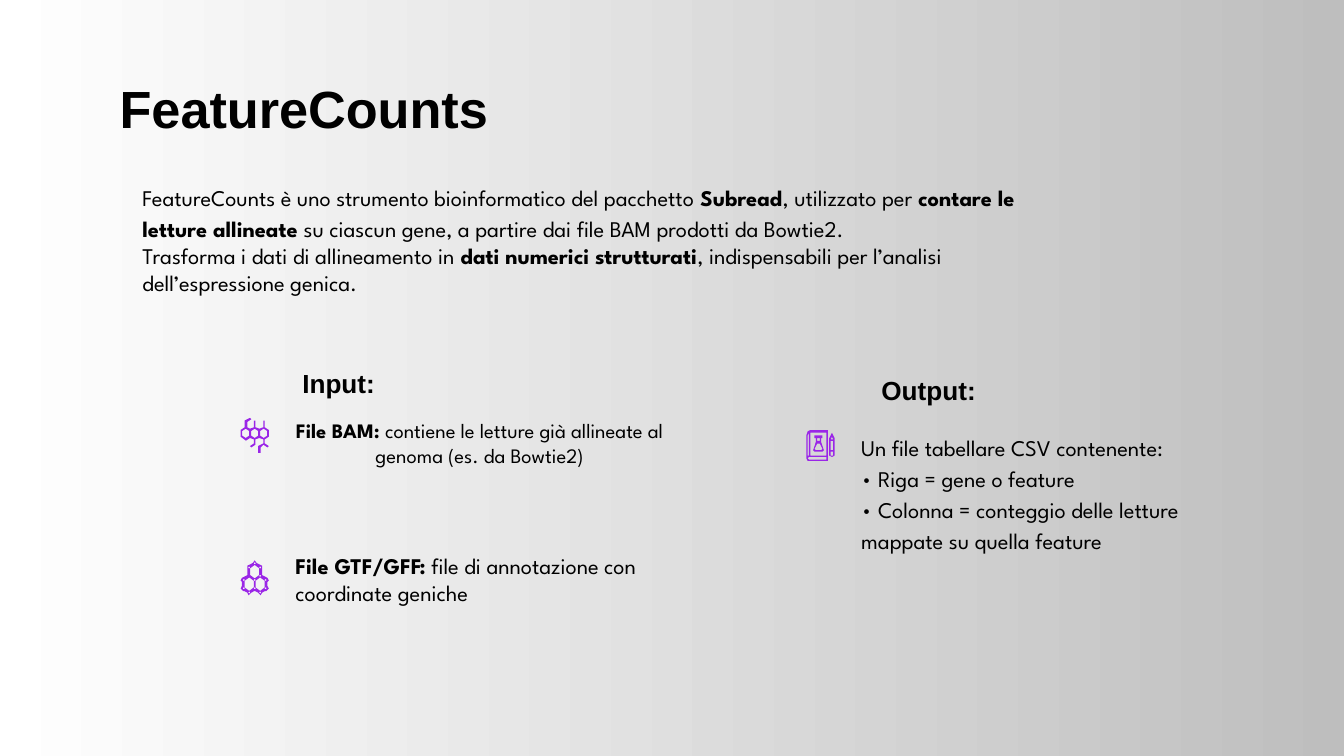
import math

from pptx import Presentation
from pptx.dml.color import RGBColor
from pptx.enum import text as t
from pptx.util import Inches, Pt

BLACK = RGBColor(0x00, 0x00, 0x00)
WHITE = RGBColor(0xFF, 0xFF, 0xFF)
GREY = RGBColor(0xBE, 0xBE, 0xBE)
PURPLE = RGBColor(0x9A, 0x26, 0xE7)

HEADING_FONT = "Arial"
BODY_FONT = "League Spartan"
LEFT, CENTER = t.PP_ALIGN.LEFT, t.PP_ALIGN.CENTER
TOP, MIDDLE = t.MSO_ANCHOR.TOP, t.MSO_ANCHOR.MIDDLE


def write(shape, box, paragraphs, size=12, font=BODY_FONT, align=LEFT,
          anchor=TOP, inset=0, spacings=()):
    """Fill a shape; each paragraph is a list of runs, every second one bold."""
    shape.left, shape.top, shape.width, shape.height = map(Inches, box)
    frame = shape.text_frame
    frame.word_wrap = True
    frame.auto_size = t.MSO_AUTO_SIZE.NONE
    frame.vertical_anchor = anchor
    frame.margin_left = frame.margin_right = Inches(0.1)
    frame.margin_top = frame.margin_bottom = Inches(inset)
    for i, runs in enumerate(paragraphs):
        p = frame.paragraphs[0] if i == 0 else frame.add_paragraph()
        p.alignment = align
        p.space_before = Pt(0)
        p.line_spacing = spacings[i] if spacings else 1.0
        if shape.is_placeholder:
            props = p._p.get_or_add_pPr()
            props.set("marL", "0")
            props.set("indent", "0")
            props.insert_element_before(
                props.makeelement(
                    "{http://schemas.openxmlformats.org/drawingml/2006/main}buNone", {}),
                "a:tabLst", "a:defRPr", "a:extLst")
        for j, words in enumerate(runs):
            if not words:
                continue
            run = p.add_run()
            run.text = words
            run.font.name = font
            run.font.size = Pt(size)
            run.font.bold = j % 2 == 1
            run.font.color.rgb = BLACK


def polygon(cx, cy, rx, ry, sides=6):
    """Points of a polygon that stands on a corner."""
    angles = [2 * math.pi * i / sides for i in range(sides)]
    return [(cx + rx * math.sin(a), cy - ry * math.cos(a)) for a in angles]


def draw_outline(shapes, left, top, contours):
    """Draw contours, in hundredths of an inch from left and top, as one shape."""
    loops = [[(Inches(left + x / 100), Inches(top + y / 100)) for x, y in contour]
             for contour in contours]
    builder = shapes.build_freeform(*loops[0][0], scale=1.0)
    for i, loop in enumerate(loops):
        if i:
            builder.move_to(*loop[0])
        builder.add_line_segments(loop[1:], close=True)
    outline = builder.convert_to_shape()
    outline.shadow.inherit = False
    outline.fill.solid()
    outline.fill.fore_color.rgb = PURPLE
    outline.line.fill.background()


def draw_honeycomb(slide, left, top):
    edge = [(7, 0), (3, 2), (3, 7), (0, 9), (0, 14), (4, 17), (7, 15), (10, 16),
            (10, 19), (7, 21), (8, 22), (11, 20), (11, 16), (14, 15), (17, 16),
            (17, 19), (13, 21), (13, 26), (15, 26), (15, 22), (17, 20), (20, 22),
            (21, 21), (18, 19), (18, 16), (21, 14), (21, 9), (18, 7), (18, 2),
            (17, 2), (17, 7), (14, 8), (11, 7), (11, 2), (10, 2), (10, 7),
            (7, 8), (5, 7), (5, 3), (8, 1)]
    cells = [polygon(10.5 + dx, 11.5, 3, 3.5) for dx in (-6.7, 0, 6.7)]
    draw_outline(slide.shapes, left, top, [edge] + cells)


def draw_molecule(slide, left, top):
    half = [(10.5, 0), (9, 2), (7, 3), (5, 4), (5, 7), (5, 11), (3, 12), (1, 13),
            (0, 15), (1, 16), (1, 19), (0, 21), (2, 23), (3, 23), (5, 24),
            (6, 26), (8, 24), (10, 23)]
    edge = half + [(21 - x, y) for x, y in reversed(half[1:])]
    centers = [(10.5, 8.4), (6.45, 17.7), (14.55, 17.7)]
    rings = [polygon(x, y, 3.9, 5) for x, y in centers]
    atoms = sorted({(round(x, 1), round(y, 1)) for center in centers
                    for x, y in polygon(*center, 4.68, 6.2)})
    dots = [polygon(x, y, 0.7, 0.7, sides=8) for x, y in atoms]
    draw_outline(slide.shapes, left, top, [edge] + rings + dots)


def draw_lab_book(slide, left, top):
    book = [[(3, 0), (1, 1), (0, 4), (0, 21), (1, 23), (16, 23), (16, 0)],
            [(15, 2), (15, 19), (3, 19), (3, 2)],
            [(2, 2), (2, 19), (1, 19), (1, 4)],
            [(15, 20), (15, 22), (2, 22), (1, 21), (2, 20)]]
    pencil = [[(19, 2), (17, 6), (17, 19), (19, 20), (21, 19), (21, 6)],
              [(19, 5), (20, 7), (18, 7)],
              [(18, 8), (20, 8), (20, 15), (18, 15)],
              [(18, 16), (20, 16), (20, 19), (18, 19)]]
    flask = [[(6, 4), (6, 6), (7, 6), (7, 9), (5, 15), (6, 16), (12, 16), (13, 15),
              (11, 9), (11, 6), (12, 6), (12, 4)],
             [(8, 6), (10, 6), (10, 8), (8, 8)],
             [(8, 10), (10, 10), (12, 14), (11, 15), (7, 15), (6, 14)]]
    group = slide.shapes.add_group_shape()
    for contours in (book, pencil, flask):
        draw_outline(group.shapes, left, top, contours)


def add_textbox(slide):
    return slide.shapes.add_textbox(0, 0, 0, 0)


def build_intro(slide, left, top):
    write(slide.shapes.title, (left, top, 8.47, 0.46), [["", "FeatureCounts"]],
          size=28, font=HEADING_FONT)
    write(slide.placeholders[1], (left + 0.17, top + 0.77, 6.76, 1), [
        ["FeatureCounts è uno strumento bioinformatico del pacchetto ", "Subread",
         ", utilizzato per ", "contare le letture allineate",
         " su ciascun gene, a partire dai file BAM prodotti da Bowtie2."],
        ["Trasforma i dati di allineamento in ", "dati numerici strutturati",
         ", indispensabili per l’analisi dell’espressione genica."],
    ], spacings=(1.15, 1.0))


def build_input(slide, left, top):
    write(slide.placeholders[2], (left, top, 2.16, 0.42), [["", "Input:"]],
          size=14, font=HEADING_FONT, align=CENTER, anchor=MIDDLE)
    write(slide.placeholders[3], (left + 0.62, top + 0.47, 3.02, 0.64),
          [["", "File BAM:",
            " contiene le letture già allineate al genoma (es. da Bowtie2)"]],
          size=11, align=CENTER)
    write(add_textbox(slide), (left + 0.66, top + 1.37, 2.98, 0.61),
          [["", "File GTF/GFF:", " file di annotazione con coordinate geniche"]],
          inset=0.1)
    draw_honeycomb(slide, left + 0.35, top + 0.47)
    draw_molecule(slide, left + 0.35, top + 1.53)


def build_output(slide, left, top):
    write(slide.placeholders[4], (left + 0.22, top, 1.38, 0.42), [["", "Output:"]],
          size=14, font=HEADING_FONT, align=CENTER, anchor=MIDDLE)
    write(add_textbox(slide), (left + 0.31, top + 0.41, 2.84, 1.28), [
        ["Un file tabellare CSV contenente:"],
        ["• Riga = gene o feature"],
        ["• Colonna = conteggio delle letture mappate su quella feature"],
    ], inset=0.1, spacings=(1.15,) * 3)
    draw_lab_book(slide, left, top + 0.51)


def main():
    deck = Presentation()
    deck.slide_width = Inches(10)
    deck.slide_height = deck.slide_width * 9 // 16
    slide = deck.slides.add_slide(deck.slide_layouts.get_by_name("Comparison"))
    backdrop = slide.background.fill
    backdrop.gradient()
    backdrop.gradient_angle = 0
    for stop, color in zip(backdrop.gradient_stops, (WHITE, GREY)):
        stop.color.rgb = color
    build_intro(slide, 0.79, 0.57)
    build_input(slide, 1.44, 2.64)
    build_output(slide, 6, 2.69)
    deck.save("out.pptx")


if __name__ == "__main__":
    main()
